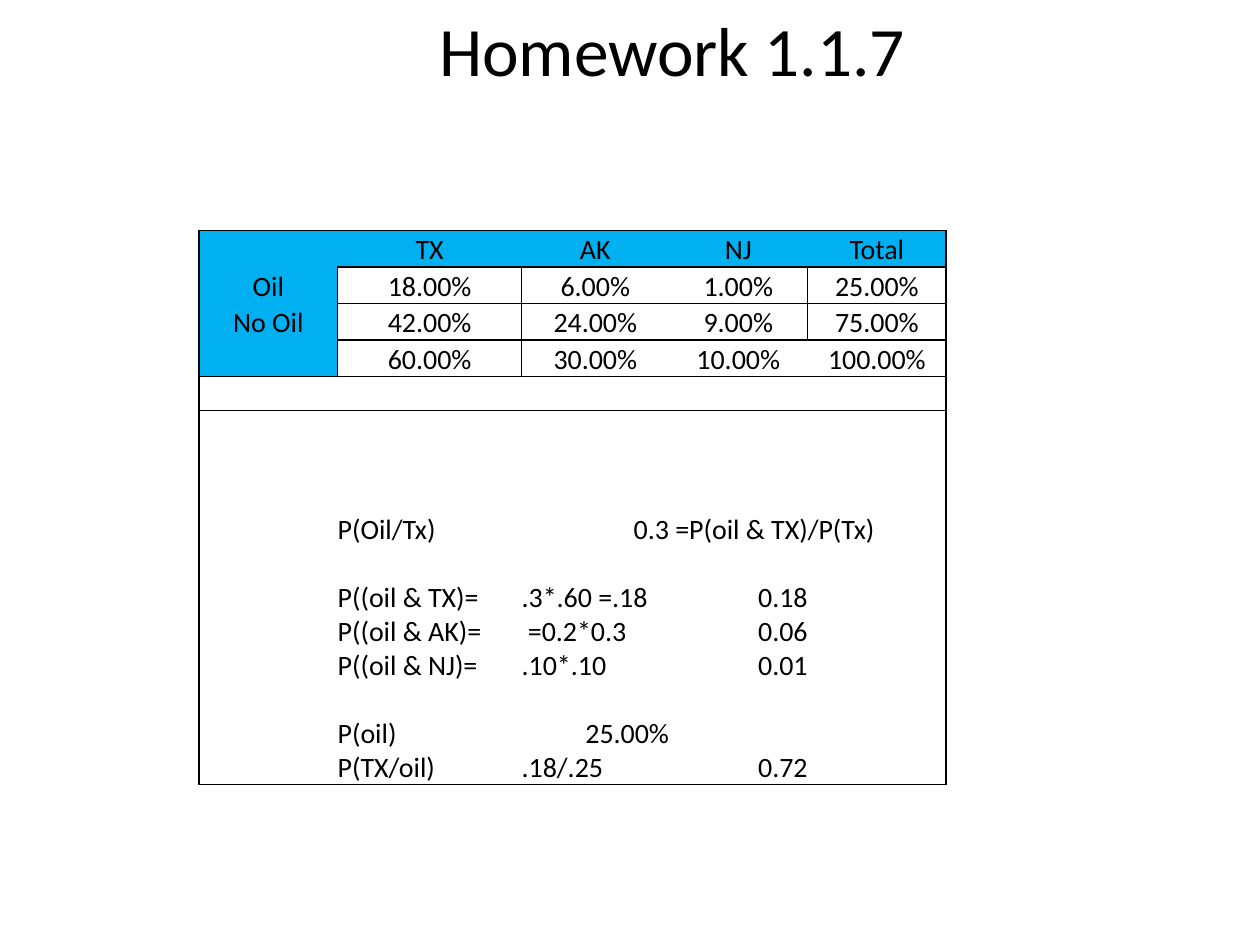
from pptx import Presentation
from pptx.dml.color import RGBColor
from pptx.enum.text import MSO_ANCHOR, PP_ALIGN
from pptx.oxml import parse_xml
from pptx.oxml.ns import nsdecls
from pptx.util import Inches, Pt

BLACK = RGBColor(0x00, 0x00, 0x00)
HEADER_BLUE = RGBColor(0x00, 0xB0, 0xF0)
FONT = "Calibri"
BODY_SIZE = 16
NO_STYLE = "{2D5ABB26-0587-4C30-8999-92F81FD0307C}"
NO_MARGINS = {f"margin_{side}": 0 for side in ("left", "top", "right", "bottom")}
LEFT, CENTER, RIGHT = PP_ALIGN.LEFT, PP_ALIGN.CENTER, PP_ALIGN.RIGHT

# Grid of the worksheet
COLUMNS = [1.10, 1.46, 1.17, 1.10, 1.10]
ROWS = [0.29] * 4 + [0.27] * 12

PROBABILITIES = [
    ["", "TX", "AK", "NJ", "Total"],
    ["Oil", "18.00%", "6.00%", "1.00%", "25.00%"],
    ["No Oil", "42.00%", "24.00%", "9.00%", "75.00%"],
    ["", "60.00%", "30.00%", "10.00%", "100.00%"],
]
# Row: label, working, result
WORKINGS = {
    8: ["P(Oil/Tx)", "0.3", " =P(oil & TX)/P(Tx)"],
    10: ["P((oil & TX)=", ".3*.60 =.18", "0.18"],
    11: ["P((oil & AK)=", " =0.2*0.3", "0.06"],
    12: ["P((oil & NJ)=", ".10*.10", "0.01"],
    14: ["P(oil)", "25.00%", ""],
    15: ["P(TX/oil)", ".18/.25", "0.72"],
}
RIGHT_ALIGNED = {(8, 2), (14, 2)} | {(row, 3) for row in (10, 11, 12, 15)}
# Outlined blocks: first row, first column, last row, last column
OUTLINES = [(0, 0, 3, 4), (1, 1, 2, 3), (1, 4, 1, 4), (2, 4, 2, 4),
            (3, 1, 3, 4), (4, 0, 15, 4)]


def set_all(target, values):
    for name, value in values.items():
        setattr(target, name, value)


def write(paragraph, text, size, align):
    paragraph.alignment = align
    if text:
        run = paragraph.add_run()
        run.text = text
        set_all(run.font, {"name": FONT, "size": Pt(size)})
        run.font.color.rgb = BLACK
    else:  # keeps an empty row from growing
        paragraph._p.append(parse_xml(
            f'<a:endParaRPr {nsdecls("a")} sz="{size * 100}"/>'))


def add_title(slide, text):
    title = slide.shapes.add_textbox(Inches(0.67), 0, Inches(9.33), Inches(0.78))
    set_all(title.text_frame, {"word_wrap": True,
                               "vertical_anchor": MSO_ANCHOR.MIDDLE})
    write(title.text_frame.paragraphs[0], text, 39.6, CENTER)


def border_sides(row, col):
    sides = set()
    for top, left, bottom, right in OUTLINES:
        if top <= row <= bottom and left <= col <= right:
            edges = {"L": col == left, "R": col == right,
                     "T": row == top, "B": row == bottom}
            sides |= {side for side, on_edge in edges.items() if on_edge}
    return sides


def draw_borders(cell, sides):
    properties = cell._tc.get_or_add_tcPr()
    for side in "LRTB":
        if side in sides:
            properties.append(parse_xml(
                f'<a:ln{side} {nsdecls("a")} w="12700"><a:solidFill>'
                f'<a:srgbClr val="{BLACK}"/></a:solidFill></a:ln{side}>'))


def cell_content(row, col):
    if row < len(PROBABILITIES):
        return PROBABILITIES[row][col], CENTER
    working = ["", *WORKINGS.get(row, ["", "", ""]), ""]
    return working[col], RIGHT if (row, col) in RIGHT_ALIGNED else LEFT


def add_worksheet(slide):
    table = slide.shapes.add_table(
        len(ROWS), len(COLUMNS), Inches(1.58), Inches(1.83),
        Inches(sum(COLUMNS)), Inches(sum(ROWS))).table
    set_all(table, {"first_row": False, "horz_banding": False})
    table._tbl.tblPr[0].text = NO_STYLE
    for column, width in zip(table.columns, COLUMNS):
        column.width = Inches(width)
    for r, height in enumerate(ROWS):
        table.rows[r].height = Inches(height)
        for c in range(len(COLUMNS)):
            cell = table.cell(r, c)
            set_all(cell, {**NO_MARGINS, "vertical_anchor": MSO_ANCHOR.BOTTOM})
            text, align = cell_content(r, c)
            write(cell.text_frame.paragraphs[0], text, BODY_SIZE, align)
            draw_borders(cell, border_sides(r, c))
            if r == 0 or (c == 0 and r < len(PROBABILITIES)):
                cell.fill.solid()
                cell.fill.fore_color.rgb = HEADER_BLUE
            else:
                cell.fill.background()
    # The formula runs over the last two columns
    table.cell(8, 3).merge(table.cell(8, 4))
    draw_formula_edge(table.cell(8, 3))


def draw_formula_edge(cell):
    cell.fill.background()
    fill = cell._tc.tcPr[-1]
    draw_borders(cell, {"R"})
    cell._tc.tcPr.append(fill)


def main():
    prs = Presentation()
    set_all(prs, {"slide_width": Inches(10), "slide_height": Inches(7.5)})
    slide = prs.slides.add_slide(prs.slide_layouts[6])
    add_title(slide, "Homework 1.1.7")
    add_worksheet(slide)
    prs.save("out.pptx")


main()
